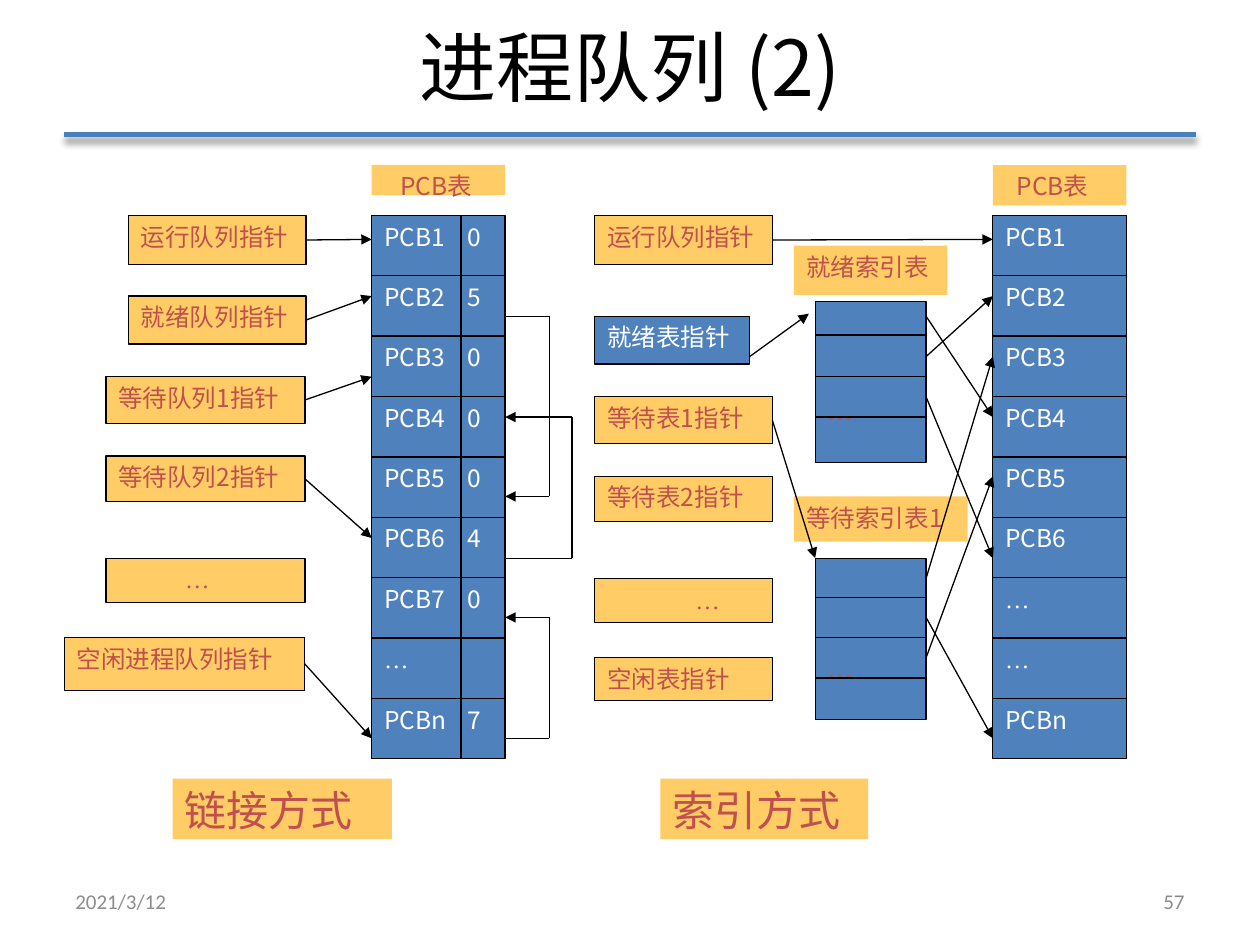
from lxml.etree import SubElement
from pptx import Presentation
from pptx.dml.color import RGBColor
from pptx.enum.shapes import MSO_CONNECTOR, MSO_SHAPE
from pptx.enum.text import MSO_ANCHOR, PP_ALIGN
from pptx.oxml.ns import qn
from pptx.util import Inches, Pt

BLACK = RGBColor(0, 0, 0)
WHITE = RGBColor(0xFF, 0xFF, 0xFF)
GOLD = RGBColor(0xFF, 0xCC, 0x66)
BLUE = RGBColor(0x4F, 0x81, 0xBD)
RULE_BLUE = RGBColor(0x4B, 0x7E, 0xBC)
RED = RGBColor(0xC0, 0x50, 0x4D)
GRAY = RGBColor(0x8C, 0x8C, 0x8C)
CJK, SERIF, FOOTER_FACE = "Noto Sans CJK JP", "Times New Roman", "Calibri"

TITLE = "进程队列 (2)"
FOOTERS = [("2021/3/12", 0.5, PP_ALIGN.LEFT), ("57", 7.17, PP_ALIGN.RIGHT)]

LINKED_PCBS = ["PCB1\t0", "PCB2\t5", "PCB3\t0", "PCB4\t0", "PCB5\t0",
               "PCB6\t4", "PCB7\t0", "…", "PCBn\t7"]
INDEXED_PCBS = ["PCB1", "PCB2", "PCB3", "PCB4", "PCB5", "PCB6", "…", "…", "PCBn"]
ROW_TOP, ROW_PITCH, PCB_WIDTH = 1.71, 0.479, 1.06
LINKED_LEFT, INDEXED_LEFT, DIVIDER_X = 2.95, 7.88, 3.66

# text, left, top, width, height, indent, size
CAPTIONS = [
    ("PCB表", LINKED_LEFT, 1.31, PCB_WIDTH, 0.24, 0.13, 14),
    ("PCB表", INDEXED_LEFT, 1.31, PCB_WIDTH, 0.32, 0.09, 14),
    ("就绪索引表", 6.3, 1.95, 1.22, 0.39, 0, 14),
    ("等待索引表1", 6.3, 3.94, 1.38, 0.36, 0, 14),
    ("链接方式", 1.37, 6.18, 1.74, 0.48, 0, 24),
    ("索引方式", 5.24, 6.18, 1.65, 0.48, 0, 24),
]
# text, left, top, width, height, indent, fill, arrow end
POINTERS = [
    ("运行队列指针", 1.02, 1.71, 1.41, 0.39, 0, GOLD, (2.95, 1.9)),
    ("就绪队列指针", 1.02, 2.35, 1.41, 0.38, 0, GOLD, (2.95, 2.35)),
    ("等待队列1指针", 0.84, 2.99, 1.58, 0.37, 0, GOLD, (2.95, 2.99)),
    ("等待队列2指针", 0.84, 3.62, 1.58, 0.36, 0, GOLD, (2.95, 4.27)),
    ("…", 0.84, 4.43, 1.58, 0.35, 0.53, GOLD, None),
    ("空闲进程队列指针", 0.51, 5.06, 1.91, 0.42, 0, GOLD, (2.95, 5.86)),
    ("运行队列指针", 4.72, 1.71, 1.41, 0.39, 0, GOLD, (7.88, 1.9)),
    ("就绪表指针", 4.72, 2.51, 1.23, 0.38, 0, BLUE, None),
    ("等待表1指针", 4.72, 3.15, 1.41, 0.37, 0, GOLD, (6.47, 4.43)),
    ("等待表2指针", 4.72, 3.78, 1.41, 0.36, 0, GOLD, None),
    ("…", 4.72, 4.59, 1.41, 0.35, 0.7, GOLD, None),
    ("空闲表指针", 4.72, 5.22, 1.41, 0.34, 0, GOLD, None),
]
INDEX_LEFT, INDEX_WIDTH, INDEX_HEIGHT = 6.47, 0.88, 1.28
INDEX_TABLES = [(2.39, (2.66, 2.99, 3.31)), (4.43, (4.74, 5.06, 5.38))]
READY_TABLE_ARROW = ((5.95, 2.83), (6.42, 2.49))
INDEX_LINKS = [(2.51, 3.31), (4.59, 2.83), (2.83, 2.35), (5.22, 3.78),
               (4.9, 5.86), (3.15, 4.43)]
PCB_LINKS = [(2.51, 3.94, 4.36), (4.43, 3.31, 4.54), (5.86, 4.9, 4.36)]

deck = Presentation()
deck.slide_width, deck.slide_height = Inches(10), Inches(7.5)
slide = deck.slides.add_slide(deck.slide_layouts[5])


def write(frame, text, color, size=14, face=None, align=PP_ALIGN.LEFT,
          anchor=MSO_ANCHOR.TOP, indent=0, tab=None, **margins):
    face = face or (SERIF if text == "…" else CJK)
    layout = {"word_wrap": True, "vertical_anchor": anchor, **margins}
    for key, value in layout.items():
        setattr(frame, key, value)
    paragraph = frame.paragraphs[0]
    paragraph.alignment = align
    properties = paragraph._p.get_or_add_pPr()
    if indent:
        properties.set("marL", str(Inches(indent)))
    if tab:
        stops = SubElement(properties, qn("a:tabLst"))
        SubElement(stops, qn("a:tab"), pos=str(Inches(tab)), algn="l")
    run = paragraph.add_run()
    run.text = text
    for key, value in {"name": face, "size": Pt(size)}.items():
        setattr(run.font, key, value)
    run.font.color.rgb = color
    SubElement(run._r.get_or_add_rPr(), qn("a:ea"), typeface=face)


def box(left, top, width, height, fill, text, color, outlined=True, **style):
    rect = slide.shapes.add_shape(MSO_SHAPE.RECTANGLE, *map(Inches, (left, top, width, height)))
    rect.shadow.inherit = False
    rect.fill.solid()
    rect.fill.fore_color.rgb = fill
    if outlined:
        rect.line.color.rgb = BLACK
        rect.line.width = Pt(0.75)
    else:
        rect.line.fill.background()
    write(rect.text_frame, text, color, margin_right=0, **style)
    return rect


def line(start, end, arrow=False, color=BLACK, width=0.75):
    link = slide.shapes.add_connector(MSO_CONNECTOR.STRAIGHT, *map(Inches, (*start, *end)))
    link.line.color.rgb = color
    link.line.width = Pt(width)
    if arrow:
        SubElement(link.line._get_or_add_ln(), qn("a:tailEnd"), type="triangle")
    SubElement(link._element.spPr, qn("a:effectLst"))
    return link


rule = line((0.51, 1.07), (9.49, 1.07), color=RULE_BLUE, width=3)
shadow = SubElement(rule._element.spPr.find(qn("a:effectLst")), qn("a:outerShdw"),
                    blurRad=str(Pt(4)), dist=str(Pt(3)), dir="5400000", rotWithShape="0")
shade = SubElement(shadow, qn("a:srgbClr"), val="000000")
SubElement(shade, qn("a:alpha"), val="40000")

title = slide.shapes.title
for key, value in {"left": 0.5, "top": -0.03, "width": 9, "height": 1.1}.items():
    setattr(title, key, Inches(value))
write(title.text_frame, TITLE, BLACK, 44, align=PP_ALIGN.CENTER, anchor=MSO_ANCHOR.MIDDLE)

for text, left, align in FOOTERS:
    footer = slide.shapes.add_textbox(*map(Inches, (left, 6.95, 2.33, 0.4)))
    write(footer.text_frame, text, GRAY, 12, FOOTER_FACE, align, MSO_ANCHOR.MIDDLE)

for left, entries in ((LINKED_LEFT, LINKED_PCBS), (INDEXED_LEFT, INDEXED_PCBS)):
    for row, text in enumerate(entries):
        top = ROW_TOP + row * ROW_PITCH
        box(left, top, PCB_WIDTH, ROW_PITCH, BLUE, text, WHITE,
            tab=0.66 if "\t" in text else None)
line((DIVIDER_X, ROW_TOP), (DIVIDER_X, ROW_TOP + len(LINKED_PCBS) * ROW_PITCH))

for top, separators in INDEX_TABLES:
    box(INDEX_LEFT, top, INDEX_WIDTH, INDEX_HEIGHT, BLUE, "…", RED, margin_top=Inches(0.75))
    for y in separators:
        line((INDEX_LEFT, y), (INDEX_LEFT + INDEX_WIDTH, y))

for text, left, top, width, height, indent, size in CAPTIONS:
    box(left, top, width, height, GOLD, text, RED, outlined=False, size=size, indent=indent)

for text, left, top, width, height, indent, fill, target in POINTERS:
    pointer = box(left, top, width, height, fill, text,
                  WHITE if fill == BLUE else RED, indent=indent)
    if target:
        line((left + width, top + height / 2), target, True).begin_connect(pointer, 3)

line(*READY_TABLE_ARROW, arrow=True)
for start_y, end_y in INDEX_LINKS:
    line((INDEX_LEFT + INDEX_WIDTH, start_y), (INDEXED_LEFT, end_y), True)

linked_right = LINKED_LEFT + PCB_WIDTH
for start_y, end_y, bend_x in PCB_LINKS:
    line((linked_right, start_y), (bend_x, start_y))
    line((bend_x, start_y), (bend_x, end_y))
    line((bend_x, end_y), (linked_right, end_y), True)

deck.save("out.pptx")
